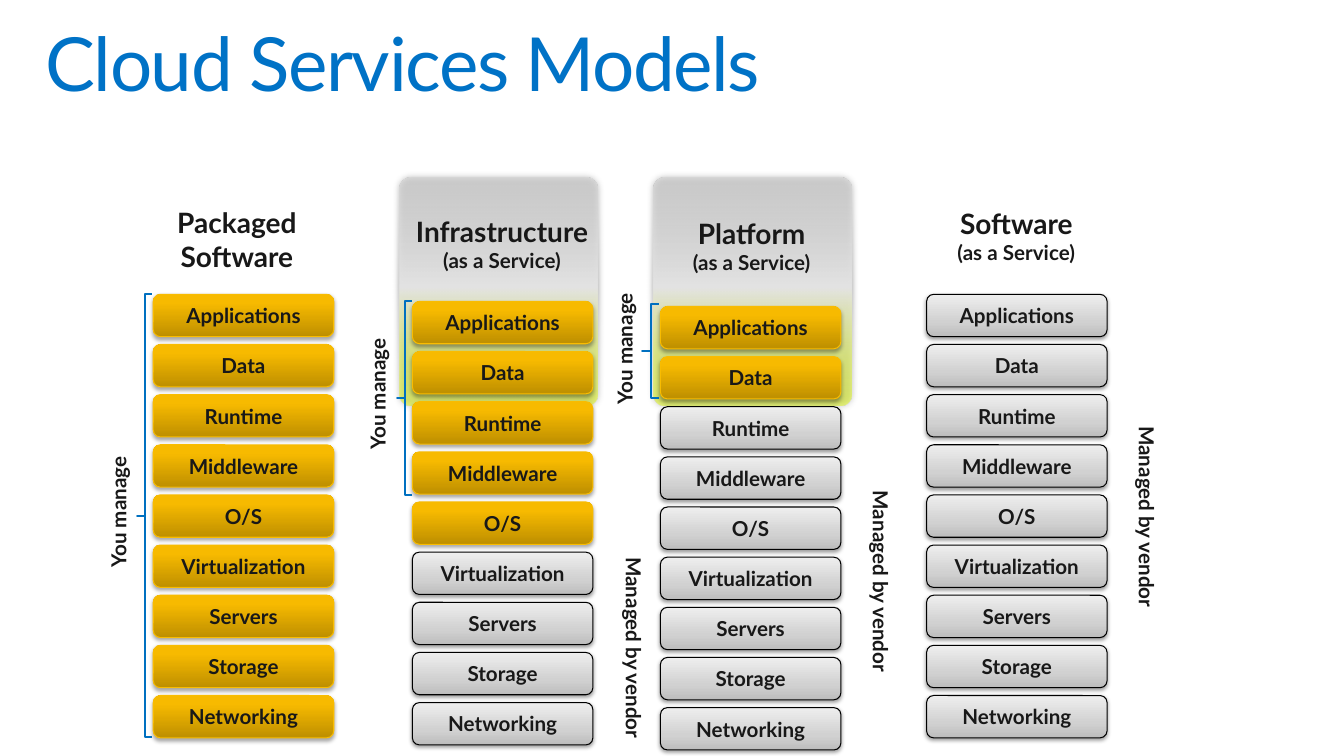
from dataclasses import dataclass
from pptx import Presentation
from pptx.dml.color import RGBColor
from pptx.enum.shapes import MSO_SHAPE
from pptx.enum.text import MSO_ANCHOR, PP_ALIGN
from pptx.oxml import parse_xml
from pptx.oxml.ns import nsdecls
from pptx.util import Inches, Pt


@dataclass(frozen=True)
class Finish:
    stops: tuple
    angle: int
    shadow: tuple
    line: str = ""


@dataclass(frozen=True)
class Theme:
    font: str = "Lato"
    title_color: str = "0072C6"
    ink: str = "181818"
    bracket: str = "0070C0"
    title_size: float = 53.3
    heading_size: float = 20
    label_size: float = 14.7
    customer: Finish = Finish(
        ((0, "BE8F00", 100), (80, "F7BA00", 100), (100, "F8BB00", 100)),
        270, (35, 3.1, 1.8, 90), "F9BC00")
    vendor: Finish = Finish(
        ((0, "BDBDBD", 100), (35, "D1D1D1", 100), (100, "EEEEEE", 100)),
        270, (38, 3.1, 1.6, 90), "000000")
    panel: Finish = Finish(
        ((2, "D2D2D2", 66), (48, "E4E4E4", 100), (100, "DBF411", 52)),
        90, (40, 5, 0, 0))


LAYERS = ["Applications", "Data", "Runtime", "Middleware", "O/S",
          "Virtualization", "Servers", "Storage", "Networking"]
BAR_WIDTH, BAR_HEIGHT, BAR_PITCH = 1.79, 0.42, 3.98 / 8


@dataclass(frozen=True)
class Model:
    heading: tuple
    heading_box: tuple
    bars_at: tuple
    managed: int
    panel: tuple = ()
    bracket: tuple = ()
    you_at: tuple = ()
    vendor_at: tuple = ()


SERVICE = "(as a Service)"
MODELS = [
    Model(("Packaged Software",), (1.33, 1.89, 2.04, 5.42), (1.52, 2.92), 9,
          bracket=(1.36, 2.92, 0.15, 4.39), you_at=(1, 4.44)),
    Model(("Infrastructure", SERVICE), (3.56, 1.94, 2.84, 5.42), (4.09, 2.99), 5,
          panel=(3.96, 1.76, 1.97, 2.26), bracket=(3.94, 2.99, 0.15, 1.92),
          you_at=(3.57, 3.27), vendor_at=(6.01, 5.43)),
    Model(("Platform", SERVICE), (6.36, 1.99, 2.19, 5.42), (6.55, 3.04), 2,
          panel=(6.48, 1.76, 1.97, 2.26), bracket=(6.37, 3.02, 0.17, 0.93),
          you_at=(6.02, 2.82), vendor_at=(8.46, 4.77)),
    Model(("Software", SERVICE), (8.97, 1.89, 2.22, 5.42), (9.19, 2.92), 0,
          vendor_at=(11.1, 4.13)),
]


def write(para, text, *, font, size, color, bold=False, align=None, tracking=None):
    para.alignment = align
    span = para.add_run()
    span.text = text
    span.font.name = font
    span.font.size = Pt(size)
    span.font.bold = bold
    span.font.color.rgb = RGBColor.from_string(color)
    if tracking is not None:
        span.font._element.set("spc", str(round(tracking * 100)))


def apply_finish(shape, finish):
    stops = "".join(
        f'<a:gs pos="{place * 1000}"><a:srgbClr val="{color}">'
        f'<a:alpha val="{alpha * 1000}"/></a:srgbClr></a:gs>'
        for place, color, alpha in finish.stops)
    properties = shape.element.spPr
    empty_fill = properties.find("{*}noFill")
    properties.replace(empty_fill, parse_xml(
        f'<a:gradFill {nsdecls("a")} rotWithShape="1"><a:gsLst>{stops}</a:gsLst>'
        f'<a:lin ang="{finish.angle * 60000}" scaled="0"/></a:gradFill>'))
    alpha, blur, distance, direction = finish.shadow
    properties.find("{*}effectLst").append(parse_xml(
        f'<a:outerShdw {nsdecls("a")} blurRad="{Pt(blur)}" dist="{Pt(distance)}" '
        f'dir="{direction * 60000}" algn="ctr" rotWithShape="0">'
        f'<a:srgbClr val="000000"><a:alpha val="{alpha * 1000}"/></a:srgbClr>'
        '</a:outerShdw>'))
    if finish.line:
        shape.line.color.rgb = RGBColor.from_string(finish.line)
        shape.line.width = Pt(0.75)


class Painter:
    def __init__(self, page, theme):
        self.page = page
        self.theme = theme
        self.shapes = page.shapes

    def title(self, text):
        box = self.page.shapes.title
        box.left, box.top, box.width, box.height = map(Inches, (0.45, 0.27, 12.19, 0.81))
        frame = box.text_frame
        frame.margin_left = frame.margin_right = frame.margin_top = frame.margin_bottom = 0
        frame.vertical_anchor = MSO_ANCHOR.TOP
        frame.word_wrap = True
        para = frame.paragraphs[0]
        para.line_spacing = 0.9
        write(para, text, font=self.theme.font, size=self.theme.title_size,
              color=self.theme.title_color, align=PP_ALIGN.LEFT, tracking=-1)

    def shape(self, kind, place):
        shape = self.shapes.add_shape(kind, *map(Inches, place))
        shape.shadow.inherit = False
        shape.fill.background()
        shape.line.fill.background()
        return shape

    def label(self, para, text, size, align=PP_ALIGN.CENTER):
        write(para, text, font=self.theme.font, size=size, color=self.theme.ink,
              bold=True, align=align)

    def panel(self, place):
        shape = self.shape(MSO_SHAPE.ROUNDED_RECTANGLE, place)
        shape.adjustments[0] = 0.058
        apply_finish(shape, self.theme.panel)

    def heading(self, lines, place):
        frame = self.shape(MSO_SHAPE.ROUNDED_RECTANGLE, place).text_frame
        frame.word_wrap = True
        frame.vertical_anchor = MSO_ANCHOR.TOP
        frame.margin_left = frame.margin_right = 0
        self.label(frame.paragraphs[0], lines[0], self.theme.heading_size)
        for line in lines[1:]:
            self.label(frame.add_paragraph(), line, self.theme.label_size)

    def bar(self, text, left, top, finish):
        shape = self.shape(MSO_SHAPE.ROUNDED_RECTANGLE, (left, top, BAR_WIDTH, BAR_HEIGHT))
        apply_finish(shape, finish)
        frame = shape.text_frame
        frame.margin_left = frame.margin_right = 0
        frame.vertical_anchor = MSO_ANCHOR.MIDDLE
        self.label(frame.paragraphs[0], text, self.theme.label_size)

    def bracket(self, place):
        shape = self.shape(MSO_SHAPE.LEFT_BRACE, place)
        shape.adjustments[0] = 0
        shape.adjustments[1] = 0.5
        shape.line.color.rgb = RGBColor.from_string(self.theme.bracket)
        shape.line.width = Pt(1.5)

    def vertical_label(self, text, at, length, direction):
        box = self.shapes.add_textbox(*map(Inches, (*at, 0.45, length)))
        box.text_frame.word_wrap = False
        box.element.txBody.bodyPr.set("vert", direction)
        self.label(box.text_frame.paragraphs[0], text, self.theme.label_size, PP_ALIGN.LEFT)

    def model(self, model):
        self.shapes = self.page.shapes.add_group_shape().shapes
        if model.panel:
            self.panel(model.panel)
        self.heading(model.heading, model.heading_box)
        left, top = model.bars_at
        for row, layer in enumerate(LAYERS):
            finish = self.theme.customer if row < model.managed else self.theme.vendor
            self.bar(layer, left, top + row * BAR_PITCH, finish)
        if model.bracket:
            self.bracket(model.bracket)
            self.vertical_label("You manage", model.you_at, 1.29, "vert270")
        if model.vendor_at:
            self.vertical_label("Managed by vendor", model.vendor_at, 2.04, "eaVert")


def main():
    deck = Presentation()
    deck.slide_width, deck.slide_height = Inches(13.33), Inches(7.5)
    painter = Painter(deck.slides.add_slide(deck.slide_layouts[5]), Theme())
    painter.title("Cloud Services Models")
    for model in MODELS:
        painter.model(model)
    deck.save("out.pptx")


if __name__ == "__main__":
    main()
